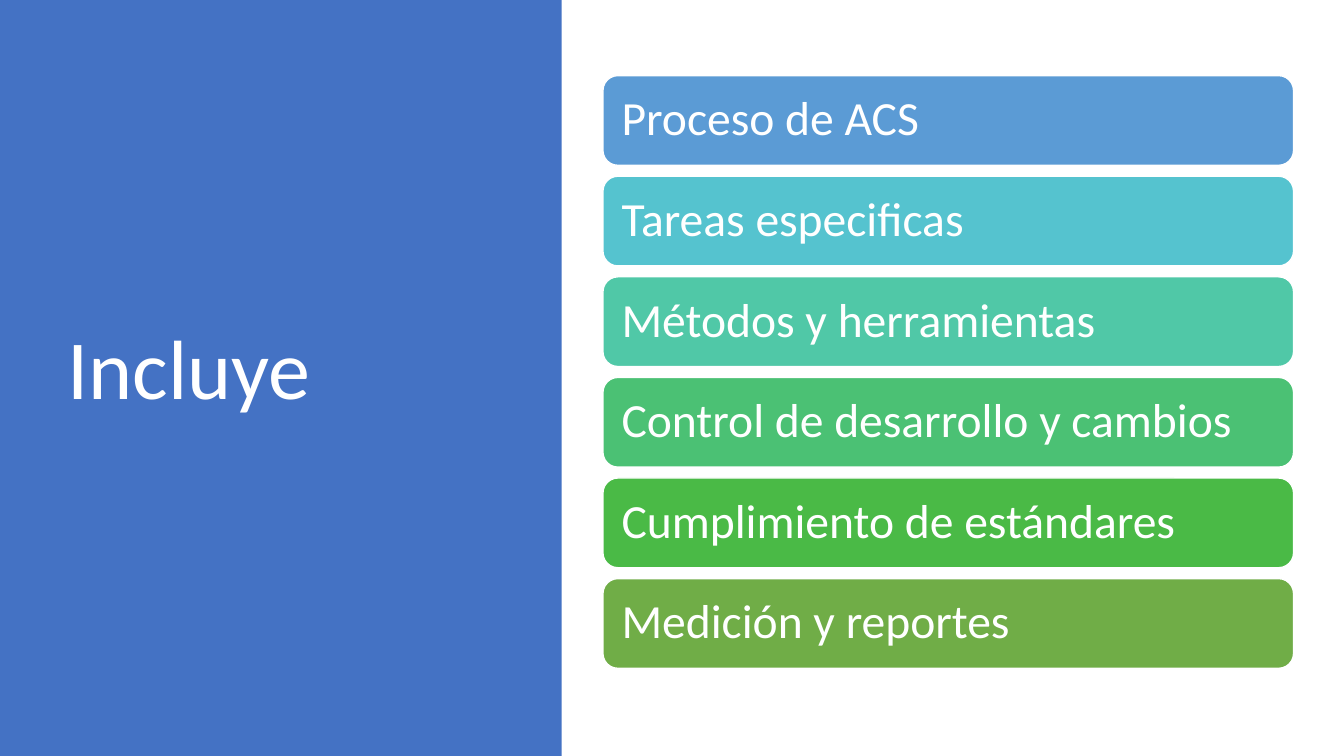
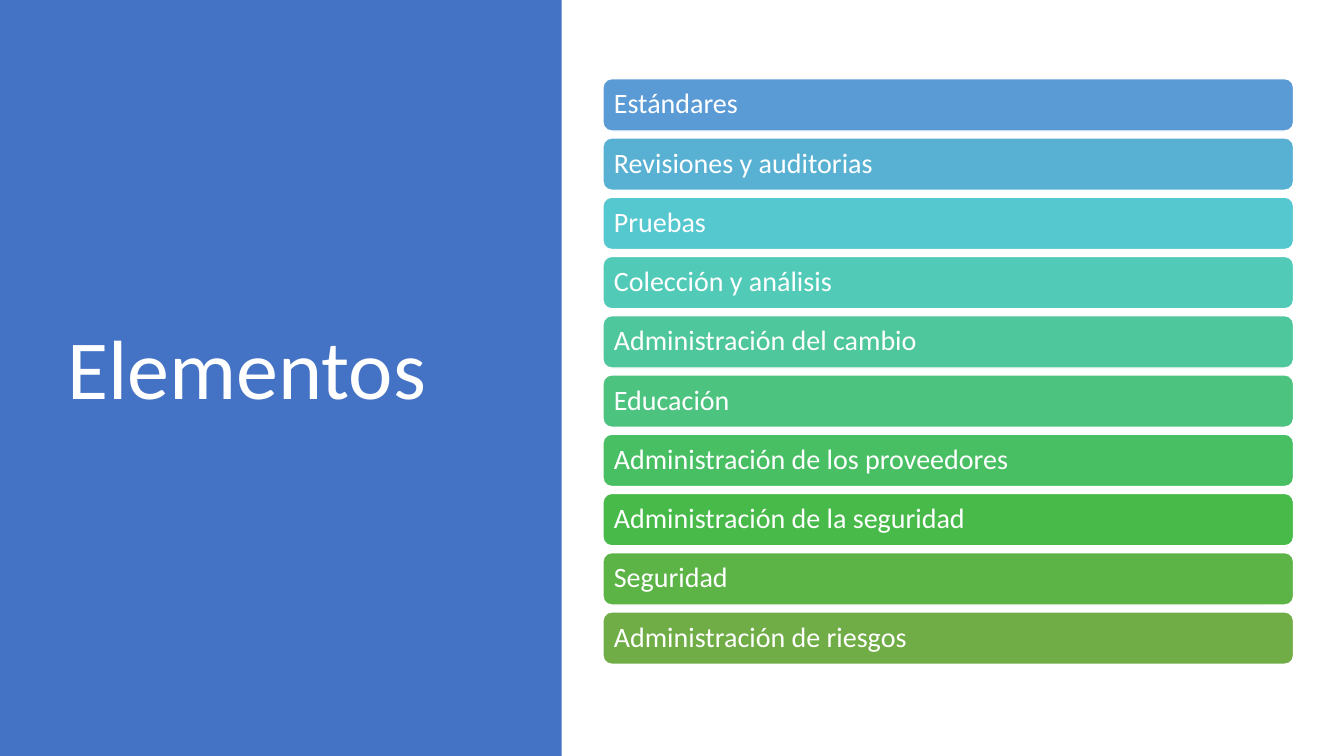
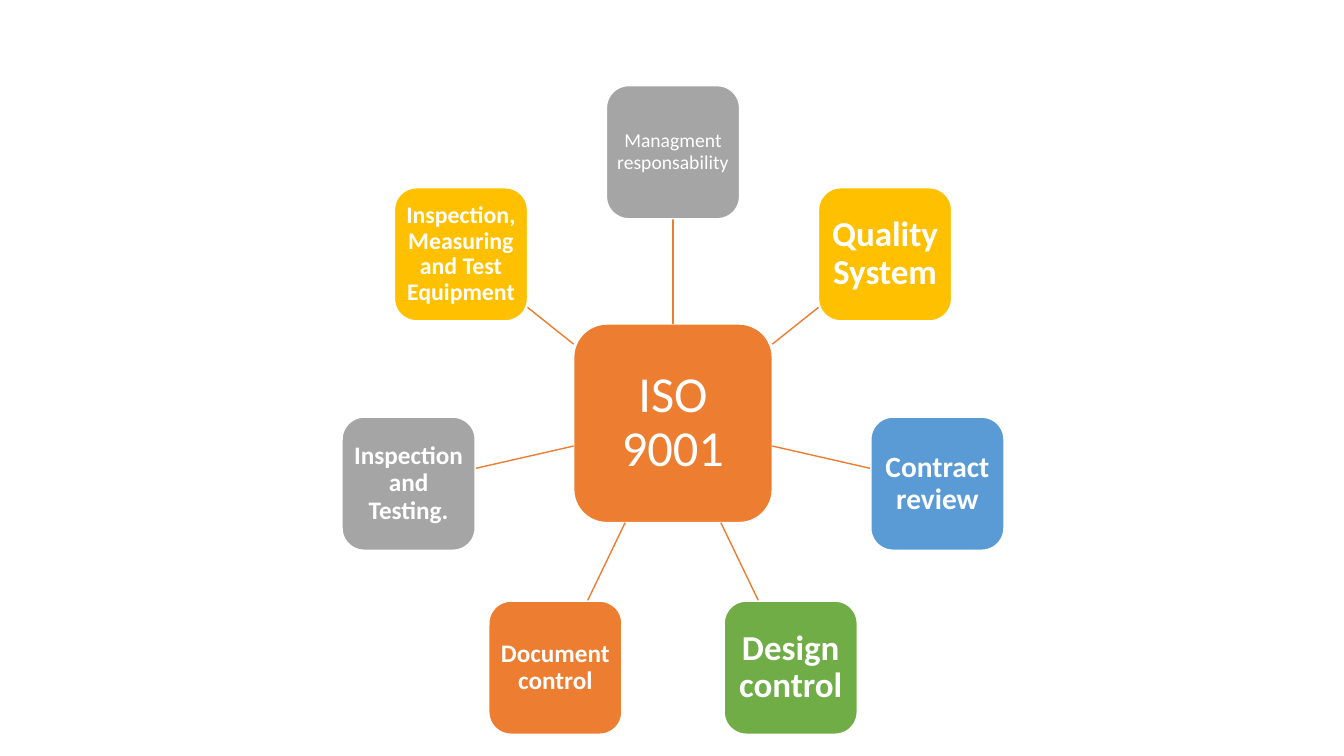
"""Three slides on quality assurance: two panel lists and one radial diagram."""
from colorsys import hls_to_rgb, rgb_to_hls
from dataclasses import dataclass
from math import cos, pi, sin

from lxml.etree import SubElement
from pptx import Presentation
from pptx.dml.color import RGBColor
from pptx.enum.shapes import MSO_CONNECTOR as CONN, MSO_SHAPE as SHAPE
from pptx.enum.text import MSO_ANCHOR as ANCHOR, PP_ALIGN as ALIGN
from pptx.oxml.ns import qn
from pptx.util import Inches, Pt


@dataclass(frozen=True)
class Theme:
    """Colours, font and type sizes of the deck."""
    font: str = "Calibri"
    white: str = "FFFFFF"
    panel: str = "4472C4"
    blue: str = "5B9BD5"
    green: str = "70AD47"
    orange: str = "ED7D31"
    gray: str = "A5A5A5"
    gold: str = "FFC000"
    title: int = 60
    hub: int = 36
    leading: float = 0.9
    line: float = 1


@dataclass(frozen=True)
class Box:
    """A rectangle in inches."""
    x: float
    y: float
    w: float
    h: float

    def lengths(self):
        """Return left, top, width and height as lengths."""
        return [Inches(v) for v in (self.x, self.y, self.w, self.h)]


T = Theme()
SLIDE = Box(0, 0, 13.33, 7.5)
PANEL = Box(0, 0, 5.57, 7.5)
TITLE = Box(0.57, 0.68, 4.16, 6.02)
BARS = Box(5.98, 0.75, 6.85, 5.88)
THIN_BARS = Box(5.98, 0.78, 6.85, 5.81)
RADIAL = Box(3.39, 0.85, 6.57, 6.44)

LISTS = [
    ("Incluye", BARS, 0.89, 34,
     ["Proceso de ACS", "Tareas especificas", "Métodos y herramientas",
      "Control de desarrollo y cambios", "Cumplimiento de estándares",
      "Medición y reportes"]),
    ("Elementos", THIN_BARS, 0.52, 20,
     ["Estándares", "Revisiones y auditorias", "Pruebas",
      "Colección y análisis", "Administración del cambio", "Educación",
      "Administración de los proveedores", "Administración de la seguridad",
      "Seguridad", "Administración de riesgos"]),
]
NODES = [
    ("Managment responsability", T.gray, 14, False),
    ("Quality System", T.gold, 25, True),
    ("Contract review", T.blue, 21, True),
    ("Design control", T.green, 25, True),
    ("Document control", T.orange, 18, True),
    ("Inspection and Testing.", T.gray, 18, True),
    ("Inspection, Measuring and Test Equipment", T.gold, 17, True),
]


def rgb(color):
    """Return the colour object of a hex string."""
    return RGBColor.from_string(color)


def blend(start, end, t):
    """Return the hex colour at share t between two colours, by hue."""
    a, b = (rgb_to_hls(*(v / 255 for v in rgb(c))) for c in (start, end))
    mix = hls_to_rgb(*(u + (v - u) * t for u, v in zip(a, b)))
    return "".join(f"{round(v * 255):02X}" for v in mix)


def set_text(sp, text, size, align=ALIGN.LEFT, bold=False, inset=None):
    """Write one white paragraph, centred vertically, into a shape."""
    tf = sp.text_frame
    frame = {"word_wrap": True, "vertical_anchor": ANCHOR.MIDDLE}
    if inset is not None:
        sides = ("left", "right", "top", "bottom")
        frame.update({f"margin_{s}": Inches(inset) for s in sides})
    p = tf.paragraphs[0]
    r = p.add_run()
    r.text = text
    formats = [
        (tf, frame),
        (p, {"alignment": align, "line_spacing": T.leading}),
        (r.font, {"name": T.font, "size": Pt(size), "bold": bold}),
    ]
    for target, values in formats:
        for name, value in values.items():
            setattr(target, name, value)
    r.font.color.rgb = rgb(T.white)


def add_block(slide, kind, box, fill, outline=None):
    """Add a filled shape without shadow."""
    sp = slide.shapes.add_shape(kind, *box.lengths())
    sp.shadow.inherit = False
    sp.fill.solid()
    sp.fill.fore_color.rgb = rgb(fill)
    if outline:
        sp.line.color.rgb = rgb(outline)
        sp.line.width = Pt(T.line)
    else:
        sp.line.fill.background()
    return sp


def add_tile(slide, box, fill, text, size, pad, **style):
    """Add a rounded tile whose inset is a share of its type size."""
    sp = add_block(slide, SHAPE.ROUNDED_RECTANGLE, box, fill, T.white)
    set_text(sp, text, size, inset=size * pad / 72, **style)


def add_square(slide, cx, cy, side, fill, text, size, bold=False):
    """Add a square tile around a centre point."""
    box = Box(cx - side / 2, cy - side / 2, side, side)
    add_tile(slide, box, fill, text, size, 0.2, align=ALIGN.CENTER, bold=bold)


def add_spoke(slide, start, end):
    """Add a straight line between two points."""
    sp = slide.shapes.add_connector(
        CONN.STRAIGHT, *(Inches(v) for v in (*start, *end)))
    sp.line.color.rgb = rgb(T.orange)
    sp.line.width = Pt(T.line)
    SubElement(sp._element.spPr, qn("a:effectLst"))


def add_title_panel(slide, title):
    """Add the coloured left panel and its title."""
    add_block(slide, SHAPE.RECTANGLE, PANEL, T.panel)
    sp = slide.shapes.add_textbox(*TITLE.lengths())
    set_text(sp, title, T.title)


def add_bars(slide, box, height, size, items):
    """Stack bars evenly in a box, shading from blue to green."""
    last = len(items) - 1
    pitch = (box.h - height) / last
    for i, text in enumerate(items):
        bar = Box(box.x, box.y + i * pitch, box.w, height)
        add_tile(slide, bar, blend(T.blue, T.green, i / last), text, size, 0.3)


def add_radial(slide, box, nodes, hub=1.97, side=1.32, radius=2.69):
    """Place a hub and a ring of linked nodes, the first at the top."""
    cx, cy = box.x + box.w / 2, box.y + side / 2 + radius
    add_square(slide, cx, cy, hub, T.orange, "ISO 9001", T.hub)
    for i, node in enumerate(nodes):
        angle = 2 * pi * i / len(nodes)
        dx, dy = sin(angle), -cos(angle)
        reach = 2 * max(abs(dx), abs(dy))
        start, end = ((cx + dx * d, cy + dy * d)
                      for d in (hub / reach, radius - side / reach))
        add_spoke(slide, start, end)
        add_square(slide, cx + dx * radius, cy + dy * radius, side,
                   node[1], node[0], *node[2:])


def main():
    """Build and save the deck."""
    prs = Presentation()
    prs.slide_width, prs.slide_height = Inches(SLIDE.w), Inches(SLIDE.h)
    blank = prs.slide_layouts[6]
    for title, box, height, size, items in LISTS:
        s = prs.slides.add_slide(blank)
        add_title_panel(s, title)
        add_bars(s, box, height, size, items)
    add_radial(prs.slides.add_slide(blank), RADIAL, NODES)
    prs.save("out.pptx")


if __name__ == "__main__":
    main()
